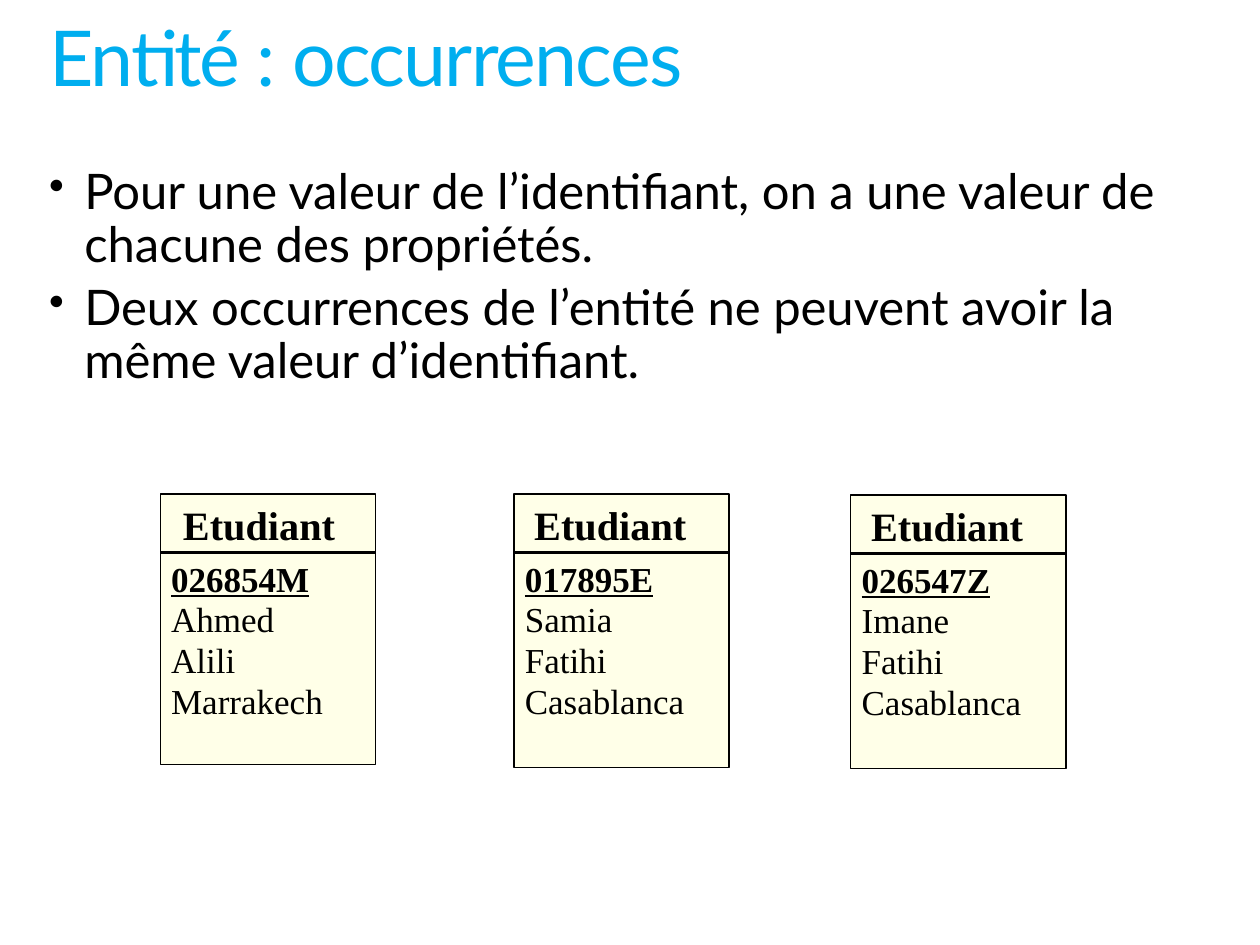
"""Build the slide on entity occurrences with three student cards."""
from lxml import etree
from pptx import Presentation
from pptx.dml.color import RGBColor
from pptx.enum.shapes import MSO_CONNECTOR, MSO_SHAPE
from pptx.enum.text import MSO_AUTO_SIZE
from pptx.oxml.ns import qn
from pptx.util import Cm, Pt

RECT = MSO_SHAPE.RECTANGLE
STRAIGHT = MSO_CONNECTOR.STRAIGHT
GROW = MSO_AUTO_SIZE.SHAPE_TO_FIT_TEXT
BLACK = RGBColor(0x00, 0x00, 0x00)
BLUE = RGBColor(0x00, 0xAE, 0xEF)
CREAM = RGBColor(0xFF, 0xFF, 0xE8)
SANS, SERIF = "Lato", "Times New Roman"


def add_text(shapes, lines, x, y, w, h, size, font=SERIF, color=BLACK,
             bold=False, underline=False, wrap=False, spacing=None,
             bullet=False, tracking=None):
    tf = shapes.add_textbox(Cm(x), Cm(y), Cm(w), Cm(h)).text_frame
    tf.margin_left = tf.margin_right = tf.margin_top = tf.margin_bottom = 0
    tf.word_wrap = wrap
    tf.auto_size = GROW
    for i, line in enumerate(lines):
        p = tf.paragraphs[0] if i == 0 else tf.add_paragraph()
        if bullet:
            pPr = p._p.get_or_add_pPr()
            pPr.set("marL", str(Cm(0.71)))
            pPr.set("indent", str(-Cm(0.71)))
            etree.SubElement(pPr, qn("a:buSzPct"), val="90000")
            etree.SubElement(pPr, qn("a:buChar"), char="•")
        if spacing:
            p.line_spacing = spacing
        if i:
            p.space_before = Pt(5.6)
        r = p.add_run()
        r.text = line
        r.font.name = font
        r.font.size = Pt(size)
        r.font.bold = bold
        r.font.underline = underline
        r.font.color.rgb = color
        if tracking:
            r._r.get_or_add_rPr().set("spc", str(tracking))


prs = Presentation()
prs.slide_width, prs.slide_height = Cm(25.4), Cm(19.05)
s = prs.slides.add_slide(prs.slide_layouts[6])

add_text(s.shapes, [
    "Pour une valeur de l’identifiant, on a une valeur de chacune des propriétés.",
    "Deux occurrences de l’entité ne peuvent avoir la même valeur d’identifiant.",
], 0.99, 3.38, 23.14, 4.7, 28, font=SANS, wrap=True, spacing=0.9, bullet=True)
add_text(s.shapes, ["Entité : occurrences"], 0.99, 0.41, 23.22, 1.7, 44,
         font=SANS, color=BLUE, wrap=True, spacing=0.9, tracking=-100)

CARD_W = 4.34
cards = [
    (3.23, 9.96, 5.46, 0.46, [("026854M", 3.07), ("Ahmed", 2.11),
                              ("Alili", 1.3), ("Marrakech", 3.07)]),
    (10.36, 9.96, 5.51, 0.41, [("017895E", 2.82), ("Samia", 1.78),
                               ("Fatihi", 1.65), ("Casablanca", 3.25)]),
    (17.15, 9.98, 5.51, 0.41, [("026547Z", 2.77), ("Imane", 1.78),
                               ("Fatihi", 1.65), ("Casablanca", 3.25)]),
]
for x, y, h, indent, values in cards:
    shapes = s.shapes.add_group_shape().shapes
    sp = shapes.add_shape(RECT, Cm(x), Cm(y), Cm(CARD_W), Cm(h))
    sp.shadow.inherit = False
    sp.fill.solid()
    sp.fill.fore_color.rgb = CREAM
    rule = shapes.add_connector(STRAIGHT, Cm(x), Cm(y + 1.18),
                                Cm(x + CARD_W), Cm(y + 1.18))
    etree.SubElement(rule._element.spPr, qn("a:effectLst"))
    for outlined in (sp, rule):
        outlined.line.color.rgb = BLACK
        outlined.line.width = Pt(0)
    add_text(shapes, ["Etudiant"], x + indent, y + 0.13, 3.45, 1.2, 23, bold=True)
    for i, (value, w) in enumerate(values):
        key = i == 0
        add_text(shapes, [value], x + 0.22, y + 1.27 + 0.82 * i, w,
                 0.99 if key else 0.86, 20, bold=key, underline=key)

prs.save("out.pptx")
